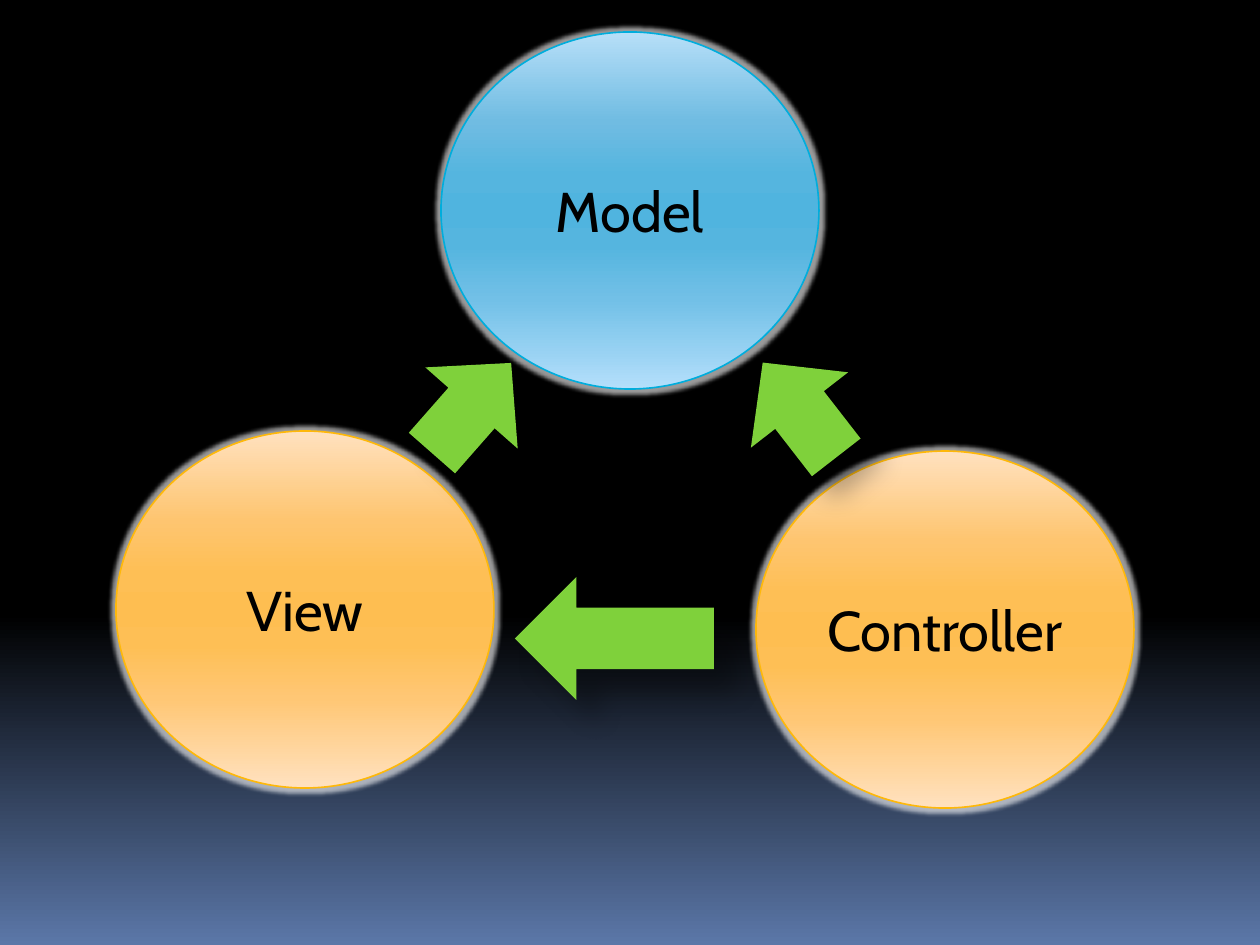
from dataclasses import dataclass

from lxml import etree
from pptx import Presentation
from pptx import util as u
from pptx.dml.color import RGBColor
from pptx.enum import shapes, text
from pptx.oxml import parse_xml
from pptx.oxml.ns import nsdecls, qn

EMU_PER_PX = u.Inches(1) / 126
CIRCLE_SIZE = (378, 357)
ARROW_WIDTH = 123


@dataclass(frozen=True)
class Theme:
    font: str = "Cabin"
    label_size: int = 32
    label: str = "000000"
    arrow: str = "7FD13B"
    shadow: str = "000000"
    glow: str = "FFFFFF"
    model_line: str = "00ADDC"
    part_line: str = "FEB80A"
    backdrop: tuple = ((0, "000000"), (65, "000000"), (100, "5B77A8"))
    model_fill: tuple = (
        (0, "B7DFF8"), (25, "70BCE2"), (40, "55B5DF"), (50, "50B4DF"),
        (60, "55B5DF"), (75, "72C0E7"), (100, "B4DFFB"),
    )
    part_fill: tuple = (
        (0, "FFE1BF"), (25, "FEC570"), (40, "FEBF55"), (50, "FEBE51"),
        (60, "FEBF55"), (75, "FFC775"), (100, "FFE1BF"),
    )


THEME = Theme()


def px(length):
    return u.Emu(round(length * EMU_PER_PX))


def rgb(value):
    return RGBColor.from_string(value)


def set_gradient(fill, holder, stops):
    fill.gradient()
    fill.gradient_angle = 270
    stop_list = next(holder.iter(qn("a:gsLst")))
    for default_stop in list(stop_list):
        stop_list.remove(default_stop)
    for position, color in stops:
        stop = etree.SubElement(stop_list, qn("a:gs"), pos=str(position * 1000))
        etree.SubElement(stop, qn("a:srgbClr"), val=color)


def set_effect(shape, kind, color, opacity, **settings):
    shape.shadow.inherit = False
    effects = shape._element.spPr.find(qn("a:effectLst"))
    attributes = " ".join(f'{name}="{value}"' for name, value in settings.items())
    effects.append(parse_xml(
        f'<a:{kind} {nsdecls("a")} {attributes}><a:srgbClr val="{color}">'
        f'<a:alpha val="{opacity * 1000}"/></a:srgbClr></a:{kind}>'
    ))


def write_text(shape, wording, *, size, color, font, align=text.PP_ALIGN.CENTER):
    frame = shape.text_frame
    frame.word_wrap = True
    frame.vertical_anchor = text.MSO_ANCHOR.MIDDLE
    paragraph = frame.paragraphs[0]
    paragraph.alignment = align
    run = paragraph.add_run()
    run.text = wording
    run.font.name = font
    run.font.size = u.Pt(size)
    run.font.color.rgb = rgb(color)


def add_circle(slide, label, left, top, stops, outline):
    circle = slide.shapes.add_shape(
        shapes.MSO_SHAPE.OVAL, px(left), px(top), *map(px, CIRCLE_SIZE))
    set_gradient(circle.fill, circle._element, stops)
    circle.line.color.rgb = rgb(outline)
    circle.line.width = u.Pt(0.94)
    set_effect(circle, "glow", THEME.glow, 60, rad=u.Pt(5))
    write_text(circle, label, size=THEME.label_size, color=THEME.label,
               font=THEME.font)


def add_arrow(slide, left, top, length, rotation):
    arrow = slide.shapes.add_shape(
        shapes.MSO_SHAPE.DOWN_ARROW, px(left), px(top), px(ARROW_WIDTH), px(length))
    arrow.rotation = rotation
    arrow.fill.solid()
    arrow.fill.fore_color.rgb = rgb(THEME.arrow)
    arrow.line.fill.background()
    set_effect(arrow, "outerShdw", THEME.shadow, 30, blurRad=u.Pt(15),
               dist=u.Pt(18), dir=45 * 60000, rotWithShape=0)


def main():
    deck = Presentation()
    deck.slide_width, deck.slide_height = px(1260), px(945)
    slide = deck.slides.add_slide(deck.slide_layouts[6])
    set_gradient(slide.background.fill, slide._element, THEME.backdrop)

    add_circle(slide, "Model", 441, 32, THEME.model_fill, THEME.model_line)
    for label, left, top in (("View", 116, 431), ("Controller", 756, 451)):
        add_circle(slide, label, left, top, THEME.part_fill, THEME.part_line)

    controller_to_model = (738, 350, 120, 142.2)
    controller_to_view = (553, 539, 199, 90)
    view_to_model = (410, 348, 120, 221.3)
    for placement in (controller_to_model, controller_to_view, view_to_model):
        add_arrow(slide, *placement)

    deck.save("out.pptx")


if __name__ == "__main__":
    main()
